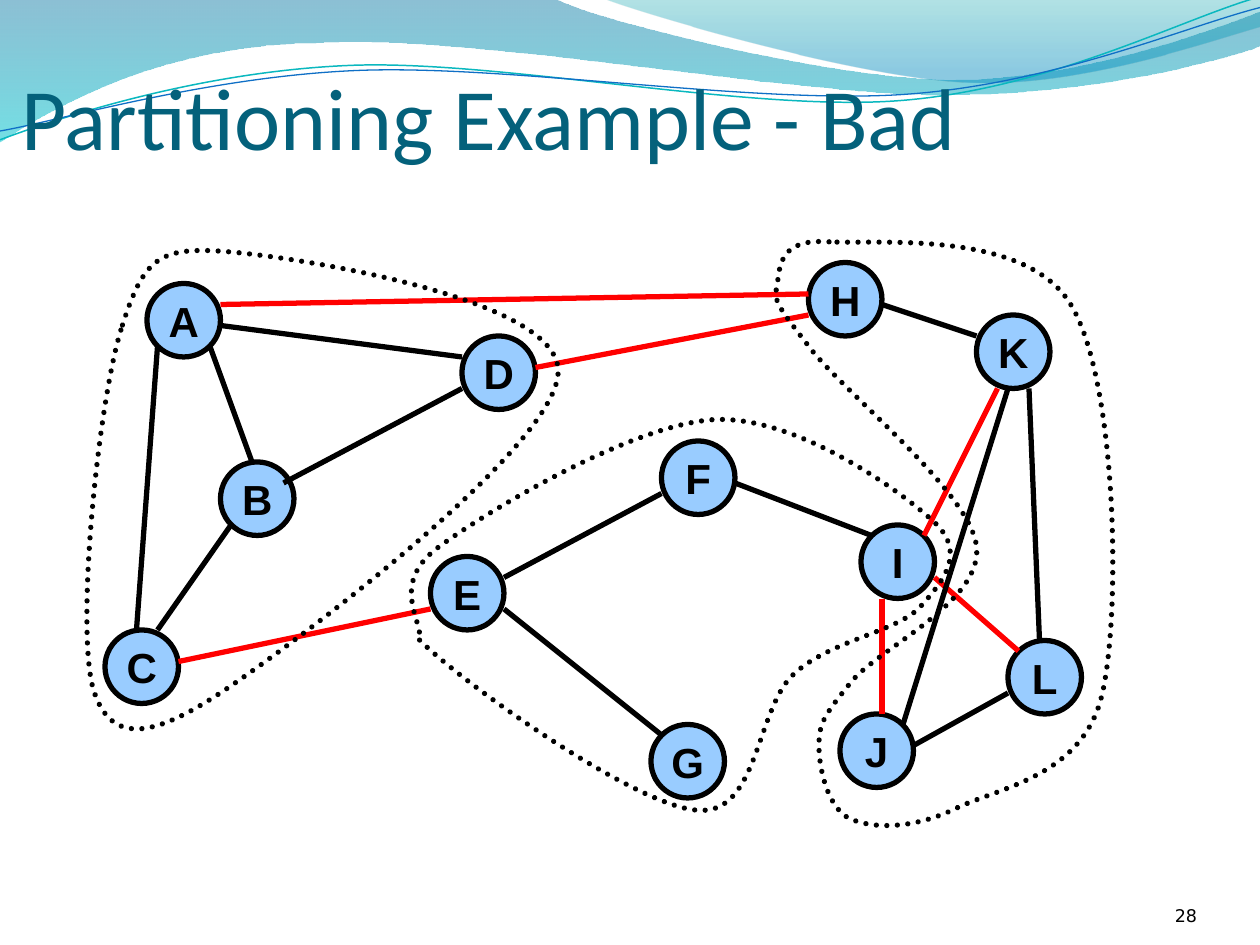
from dataclasses import dataclass

from lxml import etree
from pptx import Presentation
from pptx.dml.color import RGBColor
from pptx.enum.dml import MSO_LINE
from pptx.enum.shapes import MSO_CONNECTOR, MSO_SHAPE
from pptx.enum.text import MSO_ANCHOR, PP_ALIGN
from pptx.oxml.ns import qn
from pptx.util import Cm, Pt

ELLIPSE = MSO_SHAPE.OVAL
STRAIGHT = MSO_CONNECTOR.STRAIGHT
DOTTED = MSO_LINE.ROUND_DOT
LEFT, CENTER, RIGHT = PP_ALIGN.LEFT, PP_ALIGN.CENTER, PP_ALIGN.RIGHT
MIDDLE, BOTTOM = MSO_ANCHOR.MIDDLE, MSO_ANCHOR.BOTTOM

INCH = 2.54  # cm
GRID = INCH / 12  # cm, graph nodes and edges sit on this grid
NODE_SIZE = 7  # grid units
STROKE = 3  # points

COLORS = {
    "title": "04617B", "black": "000000", "node": "99CCFF", "cut": "FF0000",
    "wave_blue": "0074A1", "wave_cyan": "00C6CF",
    "crest_teal": "00A1A9", "crest_blue": "008BBF",
    "teal_line": "0AB8BF", "blue_line": "0F6FC6",
}


@dataclass
class Node:
    name: str
    left: int
    top: int


@dataclass
class Edge:
    start: tuple[int, int]
    end: tuple[int, int]
    color: str = "black"


@dataclass
class Outline:
    """Path in inches; a segment of 2 numbers is a line, one of 6 a Bezier curve."""
    start: tuple[float, float]
    segments: list[tuple[float, ...]]
    closed: bool = True


@dataclass
class Stop:
    position: float
    color: str
    opacity: int


@dataclass
class Label:
    text: str
    box: tuple[float, float, float, float]
    font: str
    size: int
    color: str
    align: PP_ALIGN
    top_inset: float = 0


NODES = [
    Node("A", 14, 27), Node("B", 21, 44), Node("C", 10, 60), Node("D", 44, 32),
    Node("E", 41, 53), Node("G", 62, 69), Node("F", 63, 42), Node("H", 77, 25),
    Node("I", 82, 50), Node("J", 80, 68), Node("K", 93, 30), Node("L", 96, 61),
]

EDGES = [
    Edge((20, 33), (24, 44)), Edge((15, 60), (22, 50)), Edge((27, 46), (44, 37)),
    Edge((21, 29), (77, 28), "cut"), Edge((51, 35), (77, 30), "cut"),
    Edge((21, 31), (44, 34)), Edge((17, 63), (41, 58), "cut"),
    Edge((15, 33), (13, 60)), Edge((48, 58), (63, 70)), Edge((48, 55), (63, 47)),
    Edge((84, 29), (93, 32)), Edge((95, 37), (88, 51), "cut"),
    Edge((70, 46), (83, 51)), Edge((89, 55), (97, 62), "cut"),
    Edge((98, 37), (99, 61)), Edge((87, 71), (96, 66)), Edge((96, 37), (86, 69)),
    Edge((84, 57), (84, 68), "cut"),
]

PARTITIONS = [
    Outline((0.96, 2.62), [
        (0.78, 3.2, 0.59, 5.04, 0.75, 5.5), (0.91, 5.96, 1.3, 5.82, 1.91, 5.39),
        (2.53, 4.96, 4.45, 3.5, 4.43, 2.94), (4.42, 2.37, 2.41, 2.05, 1.83, 2),
        (1.26, 1.95, 1.14, 2.04, 0.96, 2.62)]),
    Outline((3.33, 5.08), [
        (3.68, 5.43, 5.03, 6.39, 5.53, 6.43), (6.02, 6.48, 6, 5.62, 6.3, 5.35),
        (6.59, 5.08, 7.11, 5.02, 7.3, 4.82), (7.48, 4.62, 7.68, 4.39, 7.41, 4.14),
        (7.14, 3.89, 6.32, 3.3, 5.67, 3.33), (5.01, 3.37, 3.86, 4.06, 3.47, 4.35),
        (3.09, 4.64, 3.36, 4.93, 3.33, 5.08)]),
    Outline((6.58, 1.92), [
        (6.19, 1.89, 6.19, 2.11, 6.17, 2.25), (6.14, 2.39, 6.15, 2.4, 6.42, 2.75),
        (6.68, 3.1, 7.69, 3.89, 7.75, 4.33), (7.81, 4.78, 6.96, 5.15, 6.75, 5.42),
        (6.54, 5.68, 6.5, 5.74, 6.5, 5.92), (6.5, 6.1, 6.57, 6.42, 6.75, 6.5),
        (6.93, 6.58, 7.25, 6.58, 7.58, 6.42), (7.92, 6.25, 8.6, 6.17, 8.75, 5.5),
        (8.9, 4.83, 8.86, 3.01, 8.5, 2.42), (8.14, 1.82, 6.97, 1.94, 6.58, 1.92)]),
]

WAVES = [
    (Outline((0, -0.01), [
        (4.4, -0.01), (4.76, 0.17, 6.64, 0.63, 7.58, 0.63),
        (8.53, 0.63, 9.58, 0.26, 10, 0.09), (10.01, 0.36),
        (9.83, 0.44, 8.7, 0.76, 7.46, 0.75), (6.22, 0.75, 3.82, 0.28, 2.57, 0.34),
        (1.29, 0.35, 0.46, 0.83, -0.01, 1.13), (0, -0.01)]),
     [Stop(0, "wave_blue", 45), Stop(1, "wave_cyan", 55)]),
    (Outline((4.79, -0.01), [
        (5.09, 0.11, 6.82, 0.62, 7.69, 0.65), (8.56, 0.69, 9.61, 0.32, 10, 0.21),
        (10, 0), (4.79, -0.01)]),
     [Stop(0, "crest_teal", 30), Stop(0.8, "crest_blue", 45)]),
]

WAVE_LINES = [
    (Outline((0, 1.11), [
        (0.48, 0.93, 1.58, 0.57, 2.77, 0.52), (3.95, 0.47, 5.93, 0.89, 7.13, 0.8),
        (8.33, 0.71, 9.38, 0.15, 9.98, -0.02)], False), "teal_line", 0.85),
    (Outline((0, 1.04), [
        (0.47, 0.96, 1.64, 0.61, 2.83, 0.56), (4.03, 0.51, 5.97, 0.83, 7.17, 0.75),
        (8.36, 0.67, 9.41, 0.21, 10, 0.06)], False), "blue_line", 0.75),
]

LABELS = [
    Label("Partitioning Example - Bad", (0.17, 0.25, 9.67, 1.08),
          "Calibri", 50, "title", LEFT, 0.05),
    Label("28", (8.67, 6.95, 0.83, 0.4), "DejaVu Sans", 10, "black", RIGHT),
]


def rgb(name: str) -> RGBColor:
    return RGBColor.from_string(COLORS[name])


def set_line(shape, color: str, width: float) -> None:
    shape.line.color.rgb = rgb(color)
    shape.line.width = Pt(width)


def add_run(paragraph, text: str, font: str, size: int, color: str, bold: bool = False) -> None:
    run = paragraph.add_run()
    run.text = text
    run.font.name, run.font.size, run.font.bold = font, Pt(size), bold
    run.font.color.rgb = rgb(color)


def add_outline(slide, outline: Outline):
    """Build the freeform on all points, then turn each curve's three lines into one Bezier."""
    points = [(Cm(x * INCH), Cm(y * INCH)) for segment in outline.segments
              for x, y in zip(segment[::2], segment[1::2])]
    start_x, start_y = (Cm(value * INCH) for value in outline.start)
    builder = slide.shapes.build_freeform(start_x, start_y)
    builder.add_line_segments(points, close=outline.closed)
    shape = builder.convert_to_shape()
    shape.shadow.inherit = False
    shape.fill.background()
    lines = iter(list(shape._element.iter(qn("a:lnTo"))))
    for segment in outline.segments:
        parts = [next(lines) for _ in range(len(segment) // 2)]
        if len(parts) == 3:
            curve = etree.Element(qn("a:cubicBezTo"))
            parts[0].addprevious(curve)
            for part in parts:
                curve.append(part[0])
                part.getparent().remove(part)
    return shape


def add_wave(slide, outline: Outline, stops: list[Stop]) -> None:
    shape = add_outline(slide, outline)
    shape.line.fill.background()
    shape.fill.gradient()
    shape.fill.gradient_angle = 270
    for gradient_stop, stop in zip(shape.fill.gradient_stops, stops):
        gradient_stop.position = stop.position
        gradient_stop.color.rgb = rgb(stop.color)
    for color, stop in zip(shape._element.spPr.iter(qn("a:srgbClr")), stops):
        etree.SubElement(color, qn("a:alpha")).set("val", str(stop.opacity * 1000))


def add_partition(slide, outline: Outline) -> None:
    shape = add_outline(slide, outline)
    set_line(shape, "black", STROKE)
    shape.line.dash_style = DOTTED
    shape._element.spPr.find(qn("a:ln")).set("cap", "rnd")


def add_label(slide, label: Label) -> None:
    shape = slide.shapes.add_textbox(*(Cm(value * INCH) for value in label.box))
    frame = shape.text_frame
    frame.word_wrap = True
    frame.vertical_anchor = BOTTOM
    frame.margin_left = frame.margin_right = frame.margin_bottom = Cm(0)
    frame.margin_top = Cm(label.top_inset * INCH)
    frame.paragraphs[0].alignment = label.align
    add_run(frame.paragraphs[0], label.text, label.font, label.size, label.color)


def add_node(slide, node: Node) -> None:
    size = Cm(NODE_SIZE * GRID)
    shape = slide.shapes.add_shape(ELLIPSE, Cm(node.left * GRID), Cm(node.top * GRID), size, size)
    shape.shadow.inherit = False
    shape.fill.solid()
    shape.fill.fore_color.rgb = rgb("node")
    set_line(shape, "black", STROKE)
    frame = shape.text_frame
    frame.word_wrap = False
    frame.vertical_anchor = MIDDLE
    frame.paragraphs[0].alignment = CENTER
    add_run(frame.paragraphs[0], node.name, "Arial", 24, "black", bold=True)


def add_edge(slide, edge: Edge) -> None:
    ends = (Cm(value * GRID) for value in edge.start + edge.end)
    connector = slide.shapes.add_connector(STRAIGHT, *ends)
    set_line(connector, edge.color, STROKE)
    etree.SubElement(connector._element.spPr, qn("a:effectLst"))


def main() -> None:
    presentation = Presentation()
    presentation.slide_width, presentation.slide_height = Cm(25.4), Cm(19.05)
    slide = presentation.slides.add_slide(presentation.slide_layouts[6])
    for outline, stops in WAVES:
        add_wave(slide, outline, stops)
    for outline, color, width in WAVE_LINES:
        set_line(add_outline(slide, outline), color, width)
    for label in LABELS:
        add_label(slide, label)
    for node in NODES:
        add_node(slide, node)
    for edge in EDGES:
        add_edge(slide, edge)
    for outline in PARTITIONS:
        add_partition(slide, outline)
    presentation.save("out.pptx")


if __name__ == "__main__":
    main()
